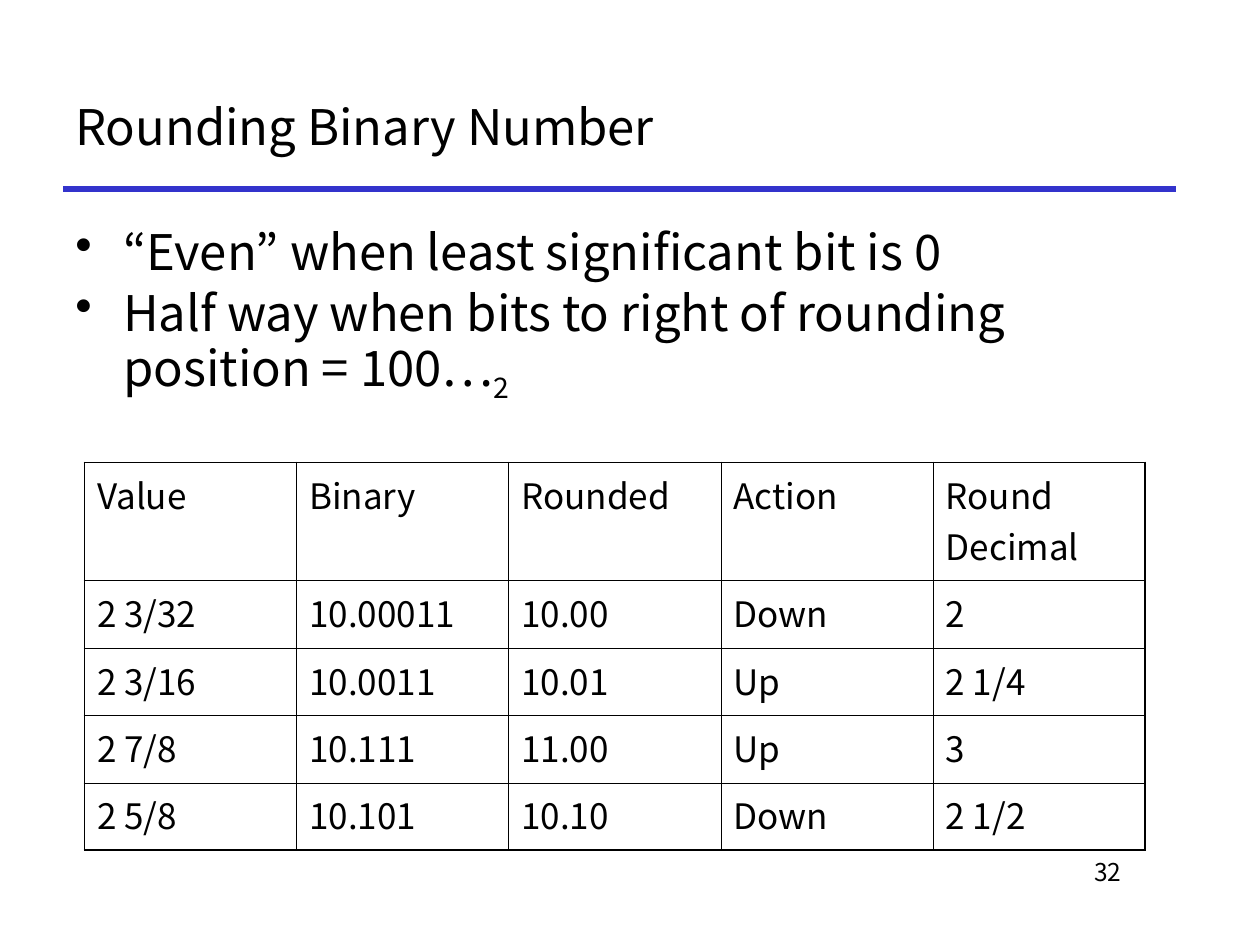
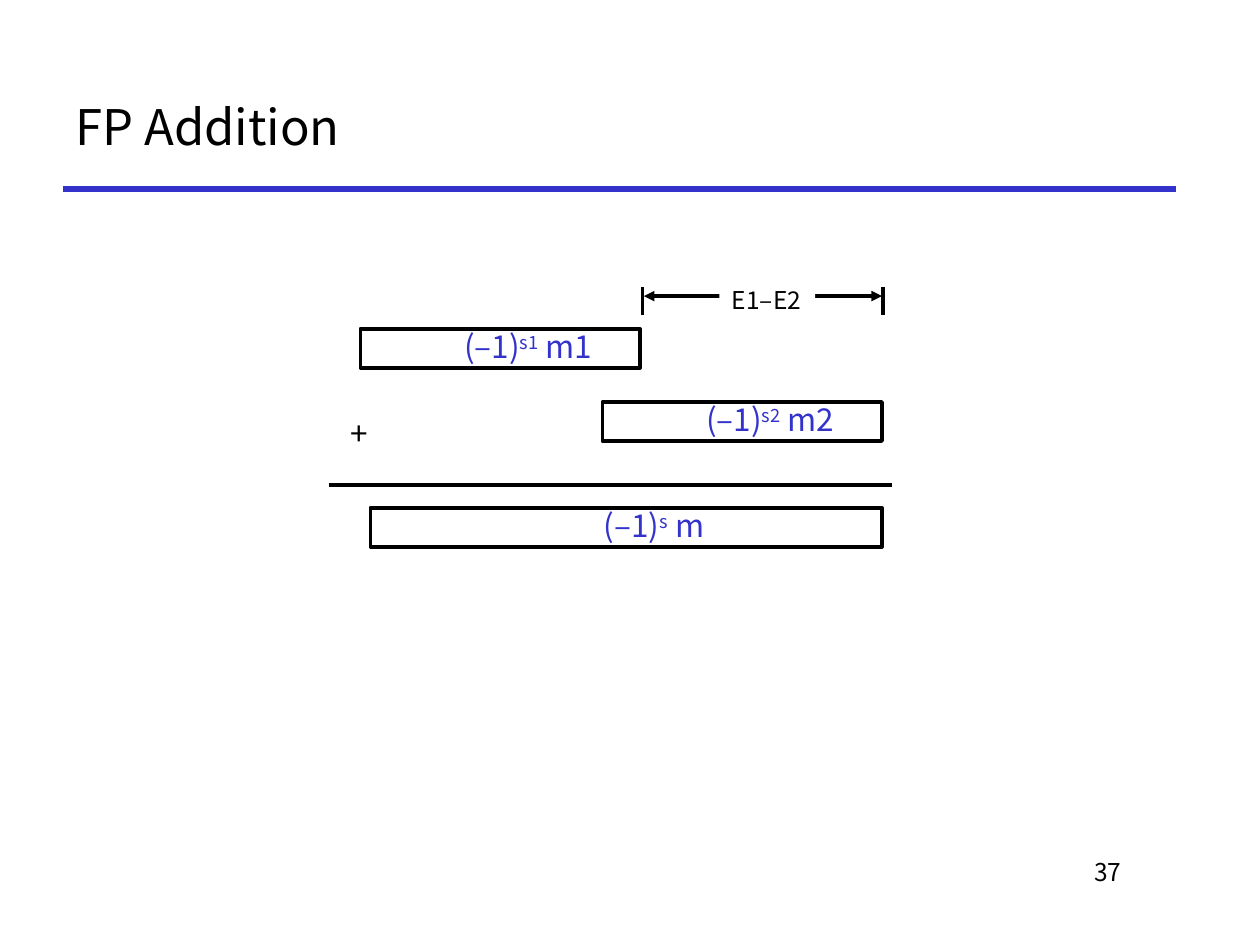
from lxml.etree import SubElement
from pptx import Presentation
from pptx.dml.color import RGBColor
from pptx.enum.shapes import MSO_CONNECTOR, MSO_SHAPE
from pptx.enum.text import MSO_ANCHOR as Anchor, MSO_AUTO_SIZE as AutoSize, PP_ALIGN as Align
from pptx.oxml.ns import qn
from pptx.util import Inches, Pt

# Shared look
FONT = "Noto Sans CJK KR"
COLORS = {"ink": "000000", "accent": "3333CC", "paper": "FFFFFF"}
LEFT, RIGHT, RULE_Y = 0.5, 9.33, 1.5
SUB, SUPER = -25, 30

# Rounding slide: each paragraph is a list of (text, baseline shift)
ROUNDING_POINTS = [
    [("“Even” when least significant bit is 0", 0)],
    [("Half way when bits to right of rounding position = 100…", 0), ("2", SUB)],
]
ROUNDING_ROWS = [
    ["Value", "Binary", "Rounded", "Action", "Round Decimal"],
    ["2 3/32", "10.00011", "10.00", "Down", "2"],
    ["2 3/16", "10.0011", "10.01", "Up", "2 1/4"],
    ["2 7/8", "10.111", "11.00", "Up", "3"],
    ["2 5/8", "10.101", "10.10", "Down", "2 1/2"],
]
TABLE_AREA = (0.67, 3.67, 8.42, 3.08)
HEADER_HEIGHT = 0.94

# Addition slide: left, top, width, exponent, mantissa
OPERANDS = [
    (2.86, 2.61, 2.22, "s1", " m1 "),
    (4.78, 3.19, 2.22, "s2", " m2 "),
    (2.94, 4.03, 4.06, "s", " m "),
]
OPERAND_HEIGHT = 0.31
SHIFT_LEFT, SHIFT_RIGHT = 5.1, 7.01
SUM_LINE = (2.61, 3.85, 7.08, 3.85)


def color(name):
    return RGBColor.from_string(COLORS[name])


def add_runs(para, runs, size, ink="ink"):
    for text, shift in runs:
        span = para.add_run()
        span.text = text
        span.font.name = FONT
        span.font.size = Pt(size)
        span.font.color.rgb = color(ink)
        if shift:
            span.font._element.set("baseline", str(shift * 1000))


def add_text(page, area, text, size, align=Align.LEFT, anchor=Anchor.TOP, grow=False):
    box = page.shapes.add_textbox(*map(Inches, area))
    frame = box.text_frame
    frame.word_wrap = not grow
    frame.auto_size = AutoSize.SHAPE_TO_FIT_TEXT if grow else AutoSize.NONE
    frame.vertical_anchor = anchor
    para = frame.paragraphs[0]
    para.alignment = align
    add_runs(para, [(text, 0)], size)
    return box


def add_line(page, points, width=2, ink="ink", arrows=False):
    line = page.shapes.add_connector(MSO_CONNECTOR.STRAIGHT, *map(Inches, points))
    line.line.color.rgb = color(ink)
    line.line.width = Pt(width)
    if arrows:
        stroke = line.line._get_or_add_ln()
        for end in ("a:headEnd", "a:tailEnd"):
            SubElement(stroke, qn(end), type="triangle")
    SubElement(line._element.spPr, qn("a:effectLst"))


def add_page(deck, title, number):
    page = deck.slides.add_slide(deck.slide_layouts[6])
    add_line(page, (LEFT, RULE_Y, RIGHT, RULE_Y), 3, "accent")
    add_text(page, (7.58, 6.75, 1.42, 0.5), number, 14, Align.RIGHT)
    add_text(page, (LEFT, 0.5, RIGHT - LEFT, 1), title, 28, anchor=Anchor.MIDDLE)
    return page


def add_bullets(page, area, points):
    frame = page.shapes.add_textbox(*map(Inches, area)).text_frame
    frame.word_wrap = True
    frame.margin_top = Inches(0.09)
    for index, runs in enumerate(points):
        para = frame.add_paragraph() if index else frame.paragraphs[0]
        para.line_spacing = 0.83
        if index:
            para.space_before = Pt(7)
        props = para._p.get_or_add_pPr()
        props.set("marL", str(Inches(0.38)))
        props.set("indent", str(-Inches(0.38)))
        SubElement(props, qn("a:buChar"), char="•")
        add_runs(para, runs, 28)


def add_border(cell, side, width):
    props = cell._tc.get_or_add_tcPr()
    edge = SubElement(props, qn("a:ln" + side), w=str(Pt(width)))
    fill = SubElement(edge, qn("a:solidFill"))
    SubElement(fill, qn("a:srgbClr"), val=COLORS["ink"])


def add_grid(page, area, rows):
    row_count, column_count = len(rows), len(rows[0])
    table = page.shapes.add_table(row_count, column_count, *map(Inches, area)).table
    table.first_row = table.horz_banding = False
    body_height = (area[3] - HEADER_HEIGHT) / (row_count - 1)
    for column in table.columns:
        column.width = Inches(area[2] / column_count)
    for r, texts in enumerate(rows):
        table.rows[r].height = Inches(body_height if r else HEADER_HEIGHT)
        for c, text in enumerate(texts):
            cell = table.cell(r, c)
            outer = {"L": c == 0, "R": c == column_count - 1,
                     "T": r == 0, "B": r == row_count - 1}
            for side, is_outer in outer.items():
                add_border(cell, side, 1.08 if is_outer else 0.45)
            cell.fill.solid()
            cell.fill.fore_color.rgb = color("paper")
            add_runs(cell.text_frame.paragraphs[0], [(text, 0)], 20)


def add_operand(page, left, top, width, exponent, mantissa):
    area = (left, top, width, OPERAND_HEIGHT)
    box = page.shapes.add_shape(MSO_SHAPE.RECTANGLE, *map(Inches, area))
    box.shadow.inherit = False
    box.fill.solid()
    box.fill.fore_color.rgb = color("paper")
    box.line.color.rgb = color("ink")
    box.line.width = Pt(2)
    frame = box.text_frame
    frame.word_wrap = False
    frame.vertical_anchor = Anchor.MIDDLE
    para = frame.paragraphs[0]
    para.alignment = Align.CENTER
    para.line_spacing = 0.9
    para._p.get_or_add_pPr().set("marL", str(Inches(0.5)))
    add_runs(para, [("(–1)", 0), (exponent, SUPER), (mantissa, 0)], 18, "accent")


def build_rounding(deck):
    page = add_page(deck, "Rounding Binary Number", "32")
    add_bullets(page, (LEFT, 1.75, RIGHT - LEFT, 1.83), ROUNDING_POINTS)
    add_grid(page, TABLE_AREA, ROUNDING_ROWS)


def build_addition(deck):
    page = add_page(deck, "FP Addition", "37")
    for operand in OPERANDS:
        add_operand(page, *operand)
    # Exponent difference between two ticks
    for x in (SHIFT_LEFT, SHIFT_RIGHT):
        add_line(page, (x, 2.28, x, 2.5))
    add_line(page, (SHIFT_LEFT + 0.01, 2.35, SHIFT_RIGHT - 0.01, 2.35), arrows=True)
    label = add_text(page, (5.71, 2.21, 0.76, 0.33), "E1–E2", 14, grow=True)
    label.fill.solid()
    label.fill.fore_color.rgb = color("paper")
    # Plus sign and sum line
    add_text(page, (2.68, 3.24, 0.34, 0.4), "+", 18, grow=True)
    add_line(page, SUM_LINE)


def main():
    deck = Presentation()
    deck.slide_width, deck.slide_height = Inches(10), Inches(7.5)
    build_rounding(deck)
    build_addition(deck)
    deck.save("out.pptx")


if __name__ == "__main__":
    main()
